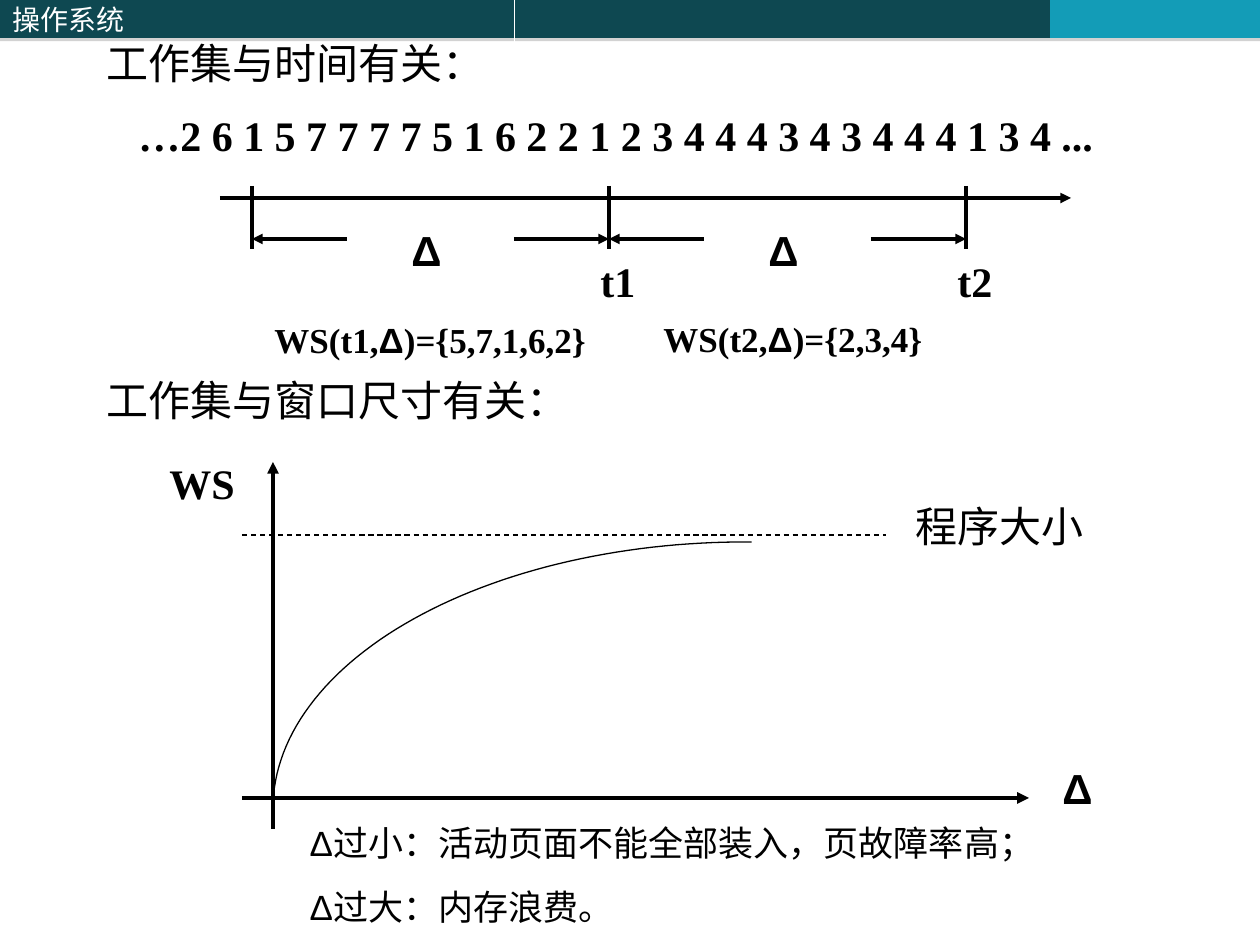
"""Build the slide on how a working set depends on time and on window size."""
from itertools import groupby
from math import cos, radians, sin
from lxml import etree
from pptx import Presentation
from pptx import util as u
from pptx.dml.color import RGBColor
from pptx.enum import dml, shapes, text
from pptx.oxml.ns import qn

HUES = {"ink": "000000", "white": "FFFFFF", "dark": "0E4851", "cyan": "139CB7", "shade": "808080"}
CJK, SERIF, SANS = "Noto Sans CJK SC", "Times New Roman", "Arial"

BANDS = [(0, 514, "dark", "操作系统"), (515, 535, "dark", ""), (1050, 210, "cyan", "")]
TITLE = "工作集与时间有关："
NOTES = ["Δ过小：活动页面不能全部装入，页故障率高；", "Δ过大：内存浪费。"]
REFS = "…2 6 1 5 7 7 7 7 5 1 6 2 2 1 2 3 4 4 4 3 4 3 4 4 4 1 3 4 ..."
SPANS = [("t1", "WS(t1,Δ)={5,7,1,6,2}", (262, 312)), ("t2", "WS(t2,Δ)={2,3,4}", (651, 311))]
LABELS = [
    ("工作集与窗口尺寸有关：", (94, 368, 1018, 63), CJK, False),
    ("程序大小", (903, 494, 242, 63), CJK, False),
    ("Δ", (1050, 756, 95, 63), SANS, True),
    ("WS", (157, 451, 126, 63), SERIF, True),
]
AXES = [((242, 798), (1029, 798)), ((273, 829), (273, 462))]
LIMIT = ((242, 535), (886, 535))
START, STEP, ARROW = 252, 357, 95
CURVE = {"mid": (746, 809), "rad": (473, 267), "from": 180, "to": 89.3, "cuts": 60}


def px(n):
    return u.Emu(round(n * 914400 / 126))


def hue(name):
    return RGBColor.from_string(HUES[name])


def put(shape, box):
    shape.left, shape.top, shape.width, shape.height = map(px, box)
    return shape


def write(shape, lines, size=24, face=SERIF, bold=False, color="ink", gap=0, anchor="TOP", grow=True):
    frame = shape.text_frame
    frame.word_wrap = True
    frame.vertical_anchor = text.MSO_ANCHOR[anchor]
    frame.auto_size = text.MSO_AUTO_SIZE.SHAPE_TO_FIT_TEXT if grow else text.MSO_AUTO_SIZE.NONE
    for i, line in enumerate(lines):
        para = frame.add_paragraph() if i else frame.paragraphs[0]
        para.alignment = text.PP_ALIGN.LEFT
        para.space_before = u.Pt(gap if i else 0)
        props = para._p.get_or_add_pPr()
        props.set("marL", "0")
        props.set("indent", "0")
        etree.SubElement(props, qn("a:buNone"))
        for delta, part in groupby(line, lambda c: c == "Δ"):
            run = para.add_run()
            run.text = "".join(part)
            font = run.font
            font.size, font.bold = u.Pt(size), bold
            font.color.rgb = hue(color)
            font.name = SANS if delta else face
            etree.SubElement(font._element, qn("a:ea"), typeface=font.name)


def label(home, line, box, **style):
    write(home.add_textbox(*map(px, box)), [line], **style)


def draw(home, start, end, width, head=False, dash=False):
    line = home.add_connector(shapes.MSO_CONNECTOR.STRAIGHT, *map(px, start + end))
    line.line.color.rgb = hue("ink")
    line.line.width = u.Pt(width)
    if dash:
        line.line.dash_style = dml.MSO_LINE.DASH
    if head:
        etree.SubElement(line.line._get_or_add_ln(), qn("a:tailEnd"), type="triangle")
    etree.SubElement(line._element.spPr, qn("a:effectLst"))


def band(home, left, width, color, name):
    box = home.add_shape(shapes.MSO_SHAPE.RECTANGLE, *map(px, (left, 0, width, 38)))
    box.fill.solid()
    box.fill.fore_color.rgb = hue(color)
    box.line.fill.background()
    fx = etree.SubElement(box._element.spPr, qn("a:effectLst"))
    cast = etree.SubElement(fx, qn("a:outerShdw"), dist=str(u.Pt(1.8)), dir="5400000", rotWithShape="0")
    tone = etree.SubElement(cast, qn("a:srgbClr"), val=HUES["shade"])
    etree.SubElement(tone, qn("a:alpha"), val="35000")
    if name:
        write(box, [name], size=16, face=CJK, color="white", anchor="MIDDLE", grow=False)


def trace(home):
    (cx, cy), (rx, ry) = CURVE["mid"], CURVE["rad"]
    step = (CURVE["to"] - CURVE["from"]) / CURVE["cuts"]
    turns = [radians(CURVE["from"] + i * step) for i in range(CURVE["cuts"] + 1)]
    dots = [(px(cx + rx * cos(t)), px(cy - ry * sin(t))) for t in turns]
    pen = home.build_freeform(*dots[0])
    pen.add_line_segments(dots[1:], close=False)
    curve = pen.convert_to_shape()
    curve.shadow.inherit = False
    curve.fill.background()
    curve.line.color.rgb = hue("ink")
    curve.line.width = u.Pt(0.75)


def chart_time(home):
    label(home, REFS, (126, 103, 1061, 63), bold=True)
    draw(home, (220, 198), (1071, 198), 2, head=True)
    for i in range(len(SPANS) + 1):
        x = START + i * STEP
        draw(home, (x, 186), (x, 249), 1.75)
    for i, (time, pages, spot) in enumerate(SPANS):
        left, right = START + i * STEP, START + (i + 1) * STEP
        draw(home, (left + ARROW, 239), (left, 239), 2, head=True)
        draw(home, (right - ARROW, 239), (right, 239), 2, head=True)
        label(home, "Δ", (left + 147, 218, 73, 63), bold=True)
        label(home, time, (right - 21, 249, 63, 63), bold=True)
        label(home, pages, spot + (347, 55), size=20, bold=True)


def main():
    deck = Presentation()
    deck.slide_width, deck.slide_height = u.Inches(10), u.Inches(7.5)
    slide = deck.slides.add_slide(deck.slide_layouts[1])
    home = slide.shapes
    for item in BANDS:
        band(home, *item)
    write(put(home.title, (94, 31, 1018, 63)), [TITLE], face=CJK)
    write(put(slide.placeholders[1], (297, 815, 924, 118)), NOTES, size=20, face=CJK, gap=12.5)
    chart_time(home.add_group_shape().shapes)
    for start, end in AXES:
        draw(home, start, end, 2.25, head=True)
    draw(home, *LIMIT, 0.75, dash=True)
    for line, box, face, bold in LABELS:
        label(home, line, box, face=face, bold=bold)
    trace(home)
    deck.save("out.pptx")


if __name__ == "__main__":
    main()
